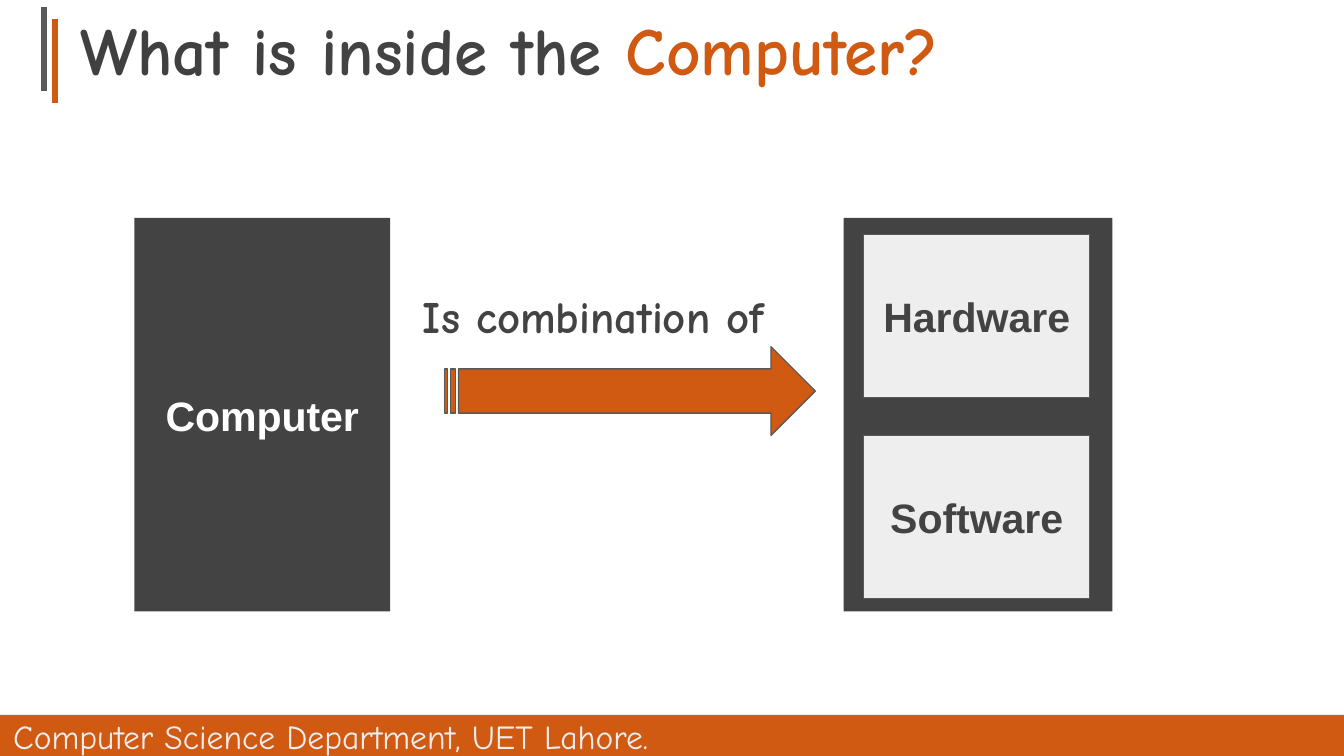
from lxml import etree
from pptx import Presentation
from pptx.dml.color import RGBColor
from pptx.enum.shapes import MSO_CONNECTOR, MSO_SHAPE
from pptx.enum.text import MSO_ANCHOR, PP_ALIGN
from pptx.oxml.ns import qn
from pptx.util import Pt

RECTANGLE = MSO_SHAPE.RECTANGLE
STRIPED_ARROW = MSO_SHAPE.STRIPED_RIGHT_ARROW
STRAIGHT = MSO_CONNECTOR.STRAIGHT
TOP, MIDDLE, BOTTOM = MSO_ANCHOR.TOP, MSO_ANCHOR.MIDDLE, MSO_ANCHOR.BOTTOM
LEFT, CENTER = PP_ALIGN.LEFT, PP_ALIGN.CENTER

ORANGE, DARK, GREY, PALE, WHITE = "D15A12", "434343", "595959", "EEEEEE", "FFFFFF"
HAND, SANS = "Comic Neue", "Arial"

TITLE = [("What is ", "404040"), ("inside the ", DARK), ("Computer?", ORANGE)]
WHOLE = "Computer"
RELATION = "Is combination of"
PARTS = ["Hardware", "Software"]
FOOTER = "Computer Science Department, UET Lahore."

SLIDE_W, SLIDE_H = 720, 405
FOOTER_TOP = 383
ACCENTS = [(29.5, 10, ORANGE), (23.5, 3.8, GREY)]
ACCENT_H = 45
BLOCK_TOP, BLOCK_H = 116.75, 210.75
PART_TOP, PART_H, PART_STEP = 125.5, 87.5, 107.75


def rgb(value):
    return RGBColor.from_string(value)


def write(shape, runs, *, size, font, bold=True, align=LEFT, anchor=TOP,
          insets=(7.2, 3.6, 7.2, 3.6), spacing=None):
    """Fill a shape with one paragraph; runs are (text, colour) pairs."""
    frame = shape.text_frame
    frame.word_wrap = True
    frame.vertical_anchor = anchor
    (frame.margin_left, frame.margin_top,
     frame.margin_right, frame.margin_bottom) = map(Pt, insets)
    paragraph = frame.paragraphs[0]
    paragraph.alignment = align
    if spacing:
        paragraph.line_spacing = spacing
    for text, color in runs:
        run = paragraph.add_run()
        run.text = text
        run.font.size = Pt(size)
        run.font.name = font
        run.font.bold = bold
        run.font.color.rgb = rgb(color)


def add_block(slide, kind, box, fill, outline=None):
    block = slide.shapes.add_shape(kind, *map(Pt, box))
    block.shadow.inherit = False
    block.fill.solid()
    block.fill.fore_color.rgb = rgb(fill)
    if outline:
        block.line.color.rgb = rgb(outline)
        block.line.width = Pt(0.75)
    else:
        block.line.fill.background()
    return block


def add_accent(slide, x, top, color):
    accent = slide.shapes.add_connector(
        STRAIGHT, Pt(x), Pt(top), Pt(x), Pt(top + ACCENT_H))
    accent.line.color.rgb = rgb(color)
    accent.line.width = Pt(3)
    etree.SubElement(accent._element.spPr, qn("a:effectLst"))


def add_text(slide, box, runs, **style):
    write(slide.shapes.add_textbox(*map(Pt, box)), runs, **style)


def main():
    deck = Presentation()
    deck.slide_width, deck.slide_height = Pt(SLIDE_W), Pt(SLIDE_H)
    slide = deck.slides.add_slide(deck.slide_layouts[6])

    add_block(slide, RECTANGLE, (0, FOOTER_TOP, SLIDE_W, SLIDE_H - FOOTER_TOP), ORANGE)
    for x, top, color in ACCENTS:
        add_accent(slide, x, top, color)
    add_text(slide, (0, -5.75, SLIDE_W, 57), TITLE, size=36, font=HAND,
             anchor=BOTTOM, insets=(43, 3, 5, 3), spacing=0.9)

    whole = add_block(slide, RECTANGLE, (72, BLOCK_TOP, 137, BLOCK_H), DARK)
    write(whole, [(WHOLE, WHITE)], size=22, font=SANS, align=CENTER, anchor=MIDDLE)

    add_block(slide, RECTANGLE, (452, BLOCK_TOP, 144, BLOCK_H), DARK)
    for i, name in enumerate(PARTS):
        part = add_block(slide, RECTANGLE,
                         (462.75, PART_TOP + i * PART_STEP, 121, PART_H), PALE, GREY)
        write(part, [(name, DARK)], size=22, font=SANS, align=CENTER,
              anchor=MIDDLE, insets=(7.2,) * 4)

    add_block(slide, STRIPED_ARROW, (238.25, 185.75, 198.5, 47.5), ORANGE, GREY)
    add_text(slide, (219.5, 147.5, 223, 37), [(RELATION, DARK)], size=24,
             font=HAND, insets=(7.2,) * 4)
    add_text(slide, (0, 380, 459, 25), [(FOOTER, PALE)], size=18, font=HAND, bold=False)

    deck.save("out.pptx")


if __name__ == "__main__":
    main()
